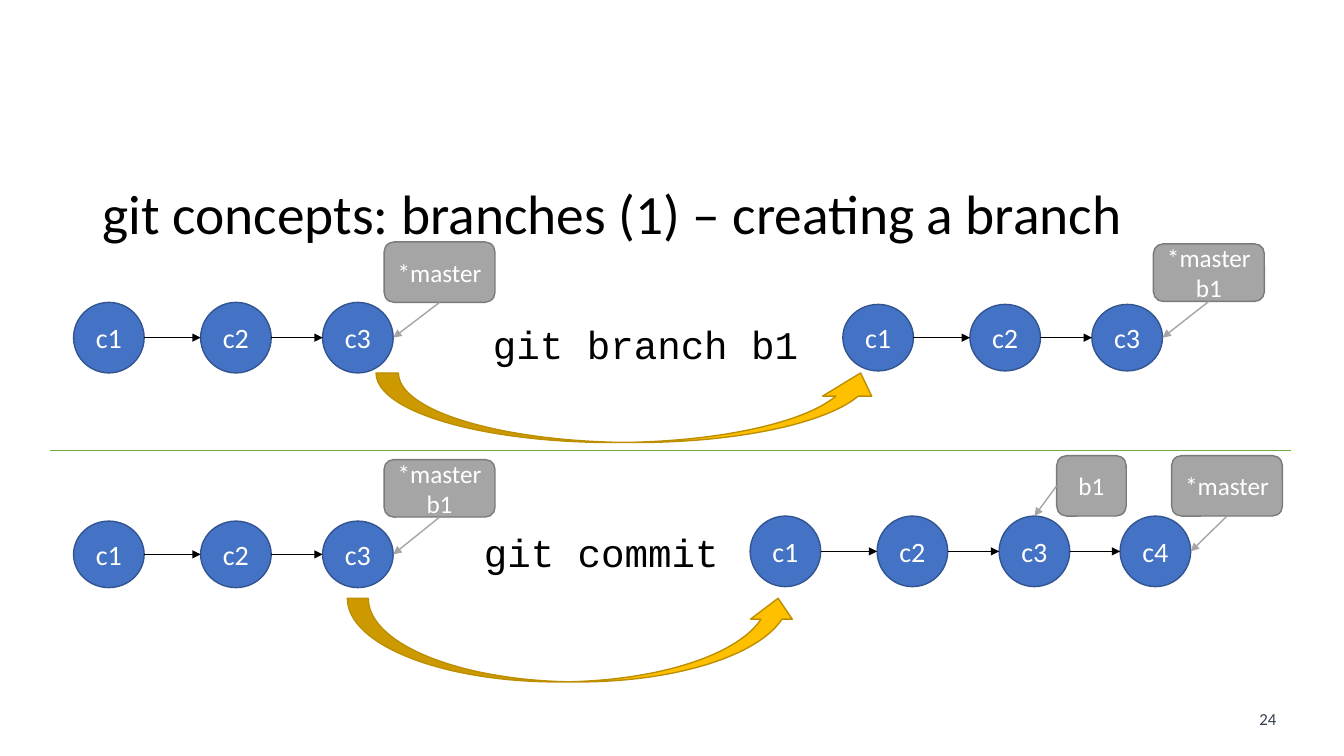
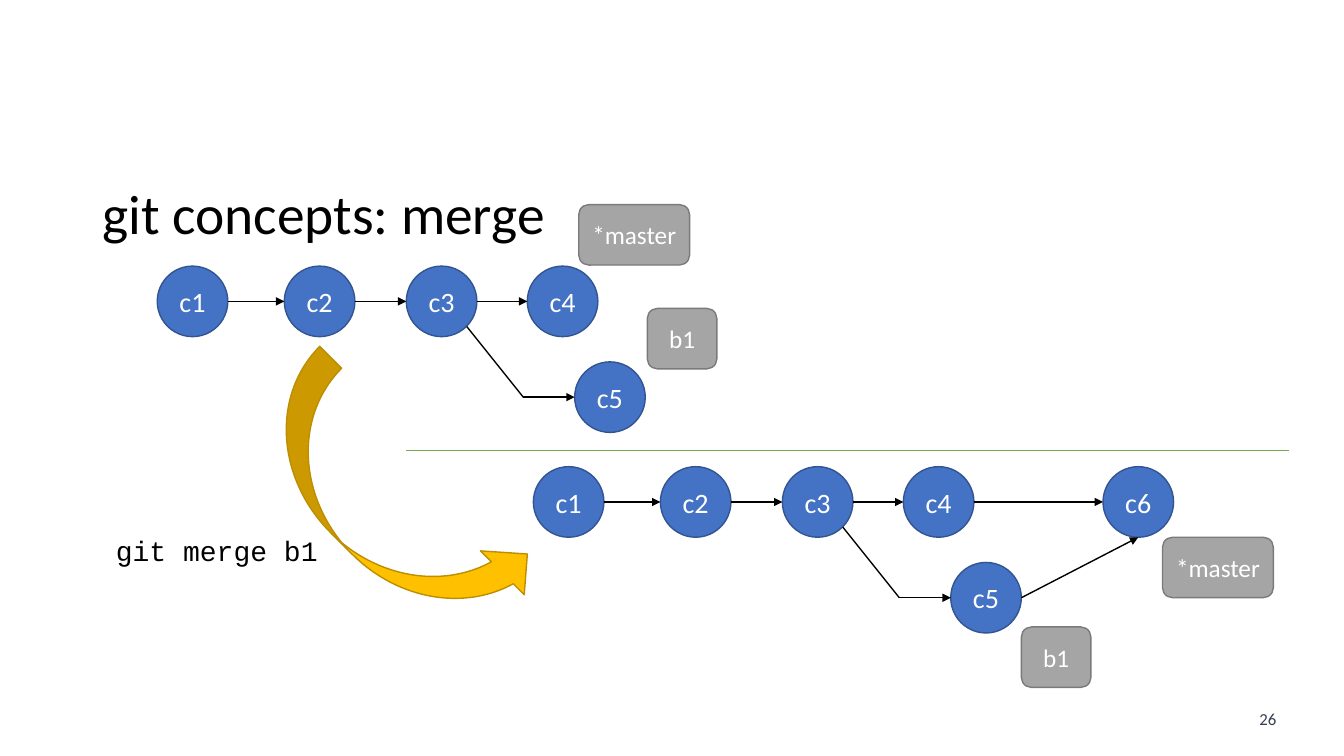
from dataclasses import dataclass
from typing import NamedTuple

import pptx
import pptx.dml.color
import pptx.enum.shapes
import pptx.enum.text
import pptx.oxml.ns
import pptx.util
from lxml import etree
from pptx.util import Inches

BLUE, BLUE_EDGE = "4472C4", "325491"
GRAY, GRAY_EDGE = "A5A5A5", "7A7A7A"
GOLD, GOLD_EDGE = "FFC000", "BD8E00"
GREEN, BLACK, WHITE, SLATE = "70AD47", "000000", "FFFFFF", "333F50"

PRESET = pptx.enum.shapes.MSO_SHAPE
ALIGN = pptx.enum.text.PP_ALIGN
ANCHOR = pptx.enum.text.MSO_ANCHOR

COMMIT_SIZE = 0.7
CHAIN_OFFSETS = (0, 1.26, 2.47, 3.67)
SIDE_OFFSET, SIDE_DROP = 4.14, 0.95
MERGE_OFFSET = 5.65
DIVIDER_Y = 4.47


class Style(NamedTuple):
    font: dict
    colour: str
    paragraph: dict
    frame: dict


def text_style(name: str, size: float, colour: str, align=ALIGN.LEFT, spacing=1.0,
               anchor=ANCHOR.TOP, wrap=True) -> Style:
    return Style({"name": name, "size": pptx.util.Pt(size)}, colour,
                 {"alignment": align, "line_spacing": spacing},
                 {"vertical_anchor": anchor, "word_wrap": wrap})


TITLE = text_style("Calibri", 39.6, BLACK, spacing=0.9, anchor=ANCHOR.MIDDLE)
PAGE_NUMBER = text_style("Calibri", 12, SLATE, ALIGN.CENTER)
COMMIT = text_style("Calibri", 20, WHITE, ALIGN.CENTER, anchor=ANCHOR.MIDDLE)
LABEL = text_style("Calibri", 18, WHITE, ALIGN.CENTER, anchor=ANCHOR.MIDDLE)
COMMAND = text_style("Courier New", 28, BLACK, wrap=False)
SMALL_COMMAND = text_style("Courier New", 20, BLACK, wrap=False)


@dataclass
class Box:
    left: float
    top: float
    width: float
    height: float

    @property
    def right(self) -> float:
        return self.left + self.width

    @property
    def bottom(self) -> float:
        return self.top + self.height

    @property
    def center(self) -> float:
        return self.left + self.width / 2

    @property
    def middle(self) -> float:
        return self.top + self.height / 2

    def lengths(self) -> list:
        return [Inches(v) for v in (self.left, self.top, self.width, self.height)]


def rgb(hex_colour: str) -> pptx.dml.color.RGBColor:
    return pptx.dml.color.RGBColor.from_string(hex_colour)


def apply(target, values: dict) -> None:
    for attribute, value in values.items():
        setattr(target, attribute, value)


def write(frame, text: str, style: Style) -> None:
    """Fill a text frame, one paragraph for each line of text."""
    apply(frame, style.frame)
    frame.text = text
    for paragraph in frame.paragraphs:
        apply(paragraph, style.paragraph)
        apply(paragraph.font, style.font)
        paragraph.font.color.rgb = rgb(style.colour)


def add_text(slide, box: Box, text: str, style: Style) -> None:
    write(slide.shapes.add_textbox(*box.lengths()).text_frame, text, style)


def add_preset(slide, preset, box: Box, fill: str, edge: str):
    shape = slide.shapes.add_shape(preset, *box.lengths())
    shape.shadow.inherit = False
    shape.fill.solid()
    shape.fill.fore_color.rgb = rgb(fill)
    shape.line.color.rgb = rgb(edge)
    shape.line.width = pptx.util.Pt(1)
    return shape


def add_line(slide, start: tuple, end: tuple, colour: str = BLACK, arrow: bool = True) -> None:
    ends = [Inches(v) for v in (*start, *end)]
    line = slide.shapes.add_connector(pptx.enum.shapes.MSO_CONNECTOR.STRAIGHT, *ends)
    line.line.color.rgb = rgb(colour)
    line.line.width = pptx.util.Pt(1)
    properties = line._element.spPr
    if arrow:
        outline = properties.find(pptx.oxml.ns.qn("a:ln"))
        etree.SubElement(outline, pptx.oxml.ns.qn("a:tailEnd"), type="triangle")
    etree.SubElement(properties, pptx.oxml.ns.qn("a:effectLst"))


def add_commit(slide, name: str, box: Box) -> Box:
    circle = add_preset(slide, PRESET.OVAL, box, BLUE, BLUE_EDGE)
    write(circle.text_frame, name, COMMIT)
    return box


def add_label(slide, text: str, box: Box) -> Box:
    label = add_preset(slide, PRESET.ROUNDED_RECTANGLE, box, GRAY, GRAY_EDGE)
    write(label.text_frame, text, LABEL)
    return box


def link(slide, older: Box, newer: Box) -> None:
    add_line(slide, (older.right, older.middle), (newer.left, newer.middle))


def add_chain(slide, count: int, left: float, top: float, height: float = COMMIT_SIZE) -> list[Box]:
    """Draw linked commits c1, c2, ... in a row."""
    commits = [add_commit(slide, f"c{number}", Box(left + offset, top, COMMIT_SIZE, height))
               for number, offset in enumerate(CHAIN_OFFSETS[:count], 1)]
    for older, newer in zip(commits, commits[1:]):
        link(slide, older, newer)
    return commits


def add_side_commit(slide, chain: list[Box]) -> Box:
    """Draw c5 below the chain, branching off c3 by a bent arrow."""
    first, base = chain[0], chain[2]
    side = add_commit(slide, "c5", Box(first.left + SIDE_OFFSET, first.top + SIDE_DROP,
                                       COMMIT_SIZE, COMMIT_SIZE))
    bend = (side.left - 0.51, side.middle)
    add_line(slide, (base.center + 0.25, base.middle + 0.25), bend, arrow=False)
    add_line(slide, bend, (side.left, side.middle))
    return side


def point_to_head(slide, label: Box, commit: Box) -> None:
    add_line(slide, (label.center, label.bottom), (commit.right, commit.middle), GRAY)


def add_transition(slide, box: Box, rotation: float, adjustments: tuple = ()) -> None:
    arrow = add_preset(slide, PRESET.CURVED_RIGHT_ARROW, box, GOLD, GOLD_EDGE)
    arrow.rotation = rotation
    for index, value in enumerate(adjustments):
        arrow.adjustments[index] = value


def add_base(deck, title: str, number: int, divider_left: float, divider_right: float):
    """Add a slide with its title, page number and dividing line."""
    slide = deck.slides.add_slide(deck.slide_layouts[6])
    add_text(slide, Box(12.34, 6.98, 0.47, 0.3), str(number), PAGE_NUMBER)
    add_text(slide, Box(0.92, 1.8, 11.5, 0.7), title, TITLE)
    add_line(slide, (divider_left, DIVIDER_Y), (divider_right, DIVIDER_Y), GREEN, arrow=False)
    return slide


def build_branch_slide(deck) -> None:
    slide = add_base(deck, "git concepts: branches (1) – creating a branch", 24, 0.5, 12.8)
    states = (
        ("*master", Box(3.81, 2.4, 1.1, 0.6), 3, 0.73, 3, 0.7),
        ("*master\nb1", Box(11.44, 2.42, 1.1, 0.57), 3, 8.36, 3.02, 0.66),
        ("*master\nb1", Box(3.81, 4.56, 1.1, 0.57), 3, 0.73, 5.17, 0.66),
        ("*master", Box(11.62, 4.52, 1.1, 0.6), 4, 7.44, 5.12, 0.7),
    )
    for text, label_box, count, left, top, height in states:
        commits = add_chain(slide, count, left, top, height)
        point_to_head(slide, add_label(slide, text, label_box), commits[-1])

    branch = add_label(slide, "b1", Box(10.48, 4.52, 0.69, 0.6))
    add_line(slide, (branch.left, branch.middle), (commits[2].center, commits[2].top), GRAY)

    add_transition(slide, Box(5.91, 1.52, 0.69, 5.05), 270, (0.321, 0.708, 0.333))
    add_transition(slide, Box(5.27, 4.11, 0.83, 4.48), 270)
    add_text(slide, Box(4.79, 3.13, 3.26, 0.57), "git branch b1", COMMAND)
    add_text(slide, Box(4.7, 5.19, 2.55, 0.57), "git commit", COMMAND)


def build_merge_slide(deck) -> None:
    slide = add_base(deck, "git concepts: merge", 26, 4.03, 12.78)
    before = add_chain(slide, 4, 1.56, 2.64)
    add_side_commit(slide, before)
    after = add_chain(slide, 4, 5.29, 4.63)
    side = add_side_commit(slide, after)

    merged = add_commit(slide, "c6", Box(after[0].left + MERGE_OFFSET, after[0].top,
                                         COMMIT_SIZE, COMMIT_SIZE))
    link(slide, after[-1], merged)
    add_line(slide, (side.right, side.middle), (merged.center, merged.bottom))

    for text, left, top, width in (("*master", 5.74, 2.03, 1.1), ("b1", 6.42, 3.06, 0.69),
                                   ("*master", 11.53, 5.33, 1.1), ("b1", 10.13, 6.22, 0.69)):
        add_label(slide, text, Box(left, top, width, 0.6))
    add_transition(slide, Box(3.26, 3.4, 1.23, 3.22), 315)
    add_text(slide, Box(1.05, 5.24, 2.22, 0.44), "git merge b1", SMALL_COMMAND)


def main() -> None:
    deck = pptx.Presentation()
    deck.slide_width, deck.slide_height = Inches(13.33), Inches(7.5)
    build_branch_slide(deck)
    build_merge_slide(deck)
    deck.save("out.pptx")


if __name__ == "__main__":
    main()
